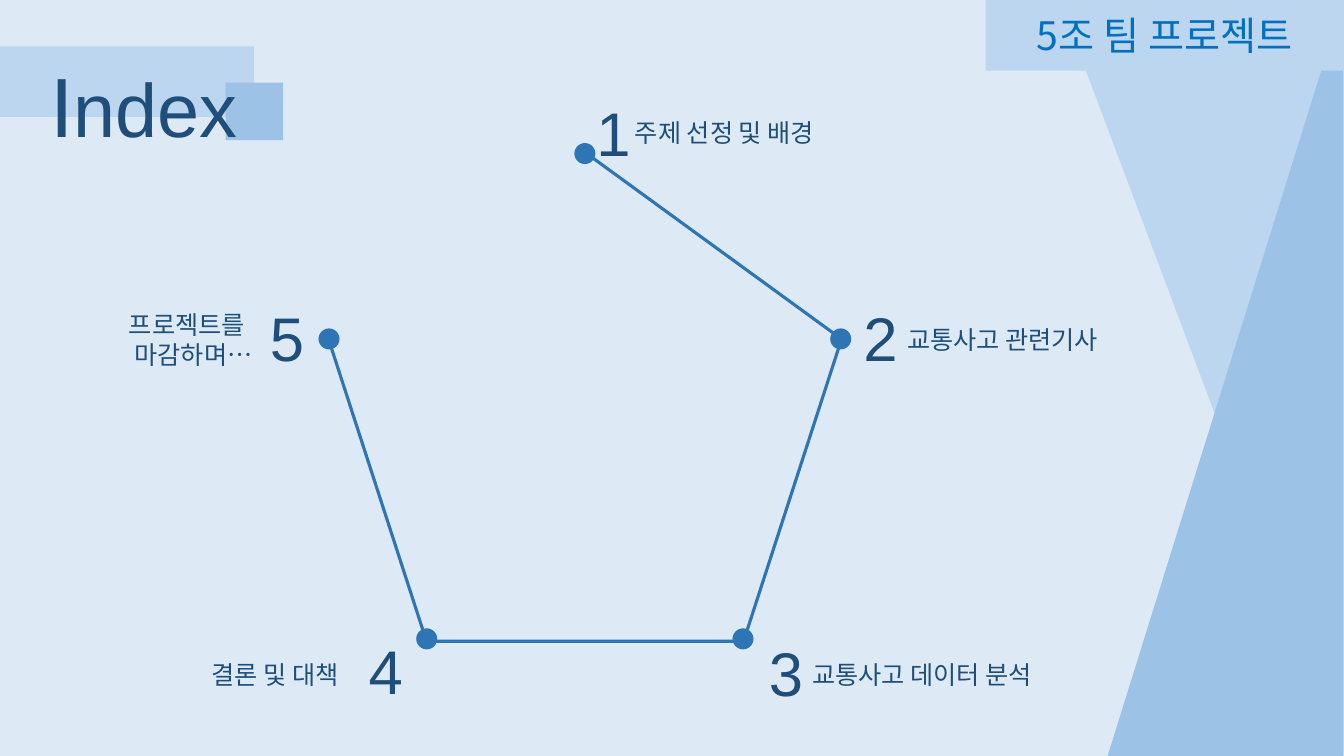
import math
from lxml import etree
from pptx import Presentation
from pptx import util as u
from pptx.dml.color import RGBColor
from pptx.enum import shapes, text
from pptx.oxml.ns import qn

# Content: number, its box corner, label lines, label box (left, top, width), label font
HANGUL = "Noto Sans CJK KR"
ITEMS = [
    ("1", (14.78, 2.26), "주제 선정 및 배경", (15.75, 2.84, 5.59), "Arial"),
    ("2", (21.51, 7.44), "교통사고 관련기사", (22.61, 8.05, 6.32), HANGUL),
    ("3", (19.13, 15.88), "교통사고 데이터 분석", (20.22, 16.48, 6.65), "Arial"),
    ("4", (9.04, 15.82), "결론 및 대책", (5.08, 16.48, 4.27), "Arial"),
    ("5", (6.55, 7.44), "프로젝트를\n 마감하며…", (3.0, 7.67, 3.73), "Arial"),
]
TITLE, TEAM = "Index", "5조 팀 프로젝트"
BACK, PALE, MID = "DDEAF6", "BBD6EE", "9CC2E5"
BLUE, NAVY, SKY = "2E75B5", "1E4E79", "0070C0"
HUB, REACH, DOT = (14.74, 10.63), (6.78, 6.76), 0.53
KIND = shapes.MSO_SHAPE


def hue(code):
    return RGBColor.from_string(code)


def shape(home, kind, box, fill=None, line=None, turn=0):
    part = home.add_shape(kind, *map(u.Cm, box))
    part.shadow.inherit = False
    part.rotation = turn
    if fill:
        part.fill.solid()
        part.fill.fore_color.rgb = hue(fill)
    else:
        part.fill.background()
    if line:
        part.line.color.rgb = hue(line)
        part.line.width = u.Pt(2.25)
    else:
        part.line.fill.background()
    return part


def style(run, size, color, face):
    run.font.size = u.Pt(size)
    run.font.color.rgb = hue(color)
    run.font.name = face
    etree.SubElement(run.font._element, qn("a:ea")).set("typeface", HANGUL)


def write(frame, words, size, color=NAVY, face="Arial"):
    frame.text = words
    frame.word_wrap = True
    for para in frame.paragraphs:
        for run in para.runs:
            style(run, size, color, face)


def label(home, box, words, size, face="Arial"):
    part = home.add_textbox(*map(u.Cm, box))
    write(part.text_frame, words, size, face=face)
    part.text_frame.auto_size = text.MSO_AUTO_SIZE.SHAPE_TO_FIT_TEXT


deck = Presentation()
deck.slide_width, deck.slide_height = u.Cm(33.87), u.Cm(19.05)
slide = deck.slides.add_slide(deck.slide_layouts[5])
slide.background.fill.solid()
slide.background.fill.fore_color.rgb = hue(BACK)
tree = slide.shapes

# Side triangles and pentagon
wedge = shape(tree, KIND.RIGHT_TRIANGLE, (20.75, 5.94, 19.05, 7.16), PALE, turn=270)
wedge._element.spPr.find(qn("a:xfrm")).set("flipH", "1")
shape(tree, KIND.RIGHT_TRIANGLE, (21.36, 6.55, 19.05, 5.94), MID, turn=270)
shape(tree, KIND.REGULAR_PENTAGON, (8.28, 3.84, 12.93, 12.32), line=BLUE)

# Title over its band and square
shape(tree, KIND.RECTANGLE, (0, 1.17, 6.4, 1.78), PALE)
shape(tree, KIND.RECTANGLE, (5.69, 2.08, 1.45, 1.45), MID)
title = tree.title
title.left, title.top, title.width, title.height = map(u.Cm, (1.02, 1.22, 5.38, 2.82))
frame = title.text_frame
frame.text = TITLE[0]
frame.word_wrap = True
frame.auto_size = text.MSO_AUTO_SIZE.SHAPE_TO_FIT_TEXT
frame.vertical_anchor = text.MSO_ANCHOR.TOP
para = frame.paragraphs[0]
para.alignment = text.PP_ALIGN.LEFT
para.add_run().text = TITLE[1:]
for run, size in zip(para.runs, (60, 54)):
    style(run, size, NAVY, "Arial")
tree._spTree.append(title._element)

# Strip that opens the side between points 5 and 1
shape(tree, KIND.RECTANGLE, (7.59, 6.07, 7.82, 0.25), BACK, turn=143.8)

# Points, clockwise from the top
for step, (num, spot, words, area, face) in enumerate(ITEMS):
    turn = 2 * math.pi * step / len(ITEMS)
    left = HUB[0] + REACH[0] * math.sin(turn) - DOT / 2
    top = HUB[1] - REACH[1] * math.cos(turn) - DOT / 2
    group = tree.add_group_shape().shapes
    shape(group, KIND.OVAL, (left, top, DOT, DOT), BLUE)
    label(group, (*spot, 1.42, 2.13), num, 44)
    tall = 1.02 + 0.78 * words.count("\n")
    label(group, (*area, tall), words, 18, face)

# Team header
team = shape(tree, KIND.RECTANGLE, (24.84, 0, 9.02, 1.78), PALE)
write(team.text_frame, TEAM, 28, SKY, HANGUL)
team.text_frame.vertical_anchor = text.MSO_ANCHOR.MIDDLE
team.text_frame.paragraphs[0].alignment = text.PP_ALIGN.CENTER

deck.save("out.pptx")
